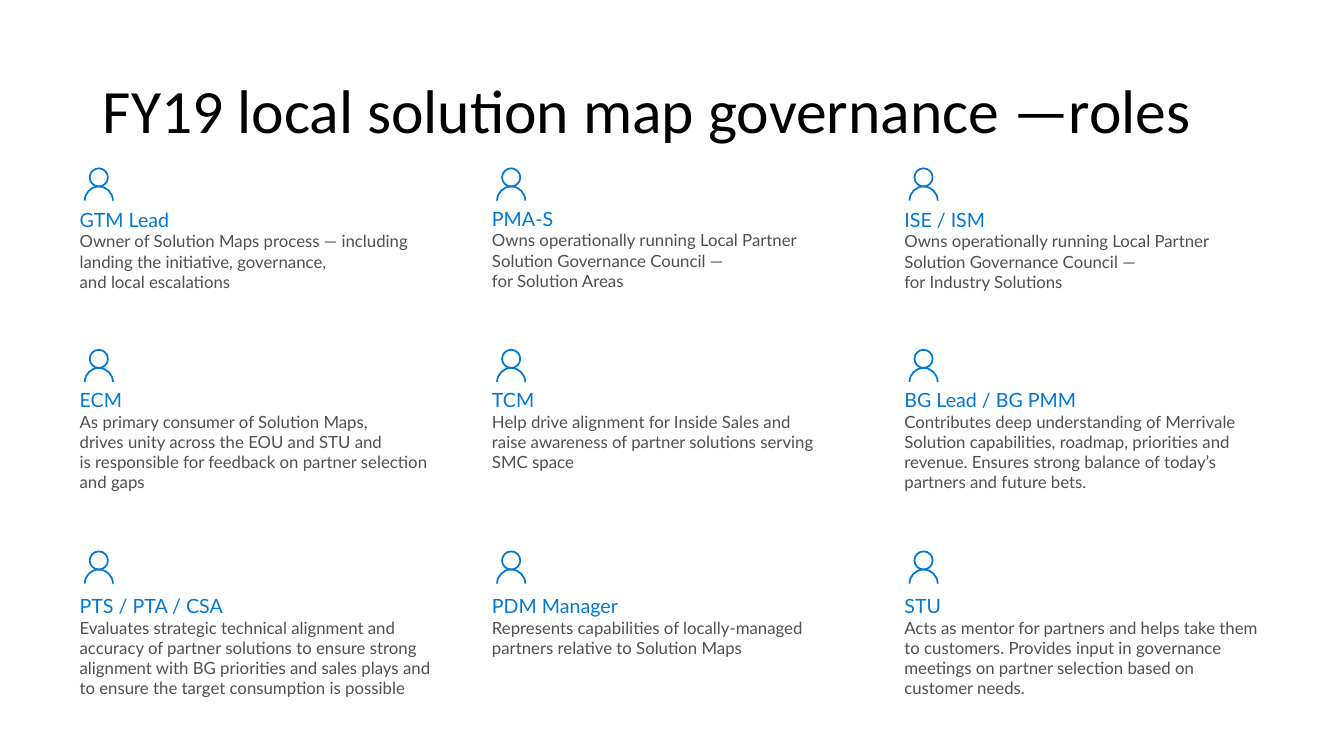
from math import cos, sin, radians
from pptx import Presentation
from pptx.dml.color import RGBColor
from pptx.enum.text import MSO_ANCHOR, MSO_AUTO_SIZE, PP_ALIGN
from pptx.oxml.ns import qn
from pptx.util import Inches, Pt

COLORS = {"title": "000000", "accent": "0078D7", "body": "505050"}
LEFT, COL_STEP, BOX_W = 0.59, 4.09, 3.97
ICON_TOPS = (1.67, 3.47, 5.47)
TEXT_TOPS = (1.9, 3.69, 5.73)
BEZIER = 0.55  # control distance for a quarter circle, as a share of its radius

# Role name, description, number of lines it fills; one inner list per grid row
ROLES = [
    [("GTM Lead", "Owner of Solution Maps process — including landing the "
      "initiative, governance,\vand local escalations", 3),
     ("PMA-S", "Owns operationally running Local Partner Solution Governance "
      "Council —\vfor Solution Areas", 3, 0.01),
     ("ISE / ISM", "Owns operationally running Local Partner Solution Governance "
      "Council —\vfor Industry Solutions", 3)],
    [("ECM", "As primary consumer of Solution Maps, \vdrives unity across the EOU "
      "and STU and\vis responsible for feedback on partner selection \vand gaps", 4),
     ("TCM", "Help drive alignment for Inside Sales and \vraise awareness of "
      "partner solutions serving SMC space", 3),
     ("BG Lead / BG PMM", "Contributes deep understanding of Merrivale Solution "
      "capabilities, roadmap, priorities and revenue. Ensures strong balance of "
      "today’s partners and future bets.", 4)],
    [("PTS / PTA / CSA", "Evaluates strategic technical alignment and accuracy of "
      "partner solutions to ensure strong alignment with BG priorities and sales "
      "plays and to ensure the target consumption is possible", 4),
     ("PDM Manager", "Represents capabilities of locally-managed partners relative "
      "to Solution Maps", 2),
     ("STU", "Acts as mentor for partners and helps take them to customers. "
      "Provides input in governance meetings on partner selection based on "
      "customer needs.", 4)],
]


def arc(cx, cy, radius, start, quarters):
    """Start point, then three Bezier points for each quarter circle."""
    def point(angle, along=0):
        c, n = cos(radians(angle)), sin(radians(angle))
        return Inches(cx + radius * (c - along * n)), Inches(cy + radius * (n + along * c))

    points = [point(start)]
    for a in range(start, start + 90 * quarters, 90):
        points += [point(a, BEZIER), point(a + 90, -BEZIER), point(a + 90)]
    return points


def curve_lines(sp):
    """Turn every three line segments of a freeform into one Bezier curve."""
    lines = list(sp._element.iter(qn("a:lnTo")))
    for first, second, third in zip(lines[::3], lines[1::3], lines[2::3]):
        curve = first.makeelement(qn("a:cubicBezTo"), {})
        first.addprevious(curve)
        for line in (first, second, third):
            curve.append(line[0])
            line.getparent().remove(line)


class RoleSlide:
    def __init__(self, prs):
        self.s = prs.slides.add_slide(prs.slide_layouts[5])

    def style(self, p, font, size, color):
        p.font.name, p.font.size = font, Pt(size)
        p.font.color.rgb = RGBColor.from_string(COLORS[color])

    def place(self, sp, left, top, width, height):
        sp.left, sp.top, sp.width, sp.height = map(Inches, (left, top, width, height))

    def title(self, text):
        sp = self.s.shapes.title
        self.place(sp, 0.92, 0.4, 11.5, 1.45)
        tf = sp.text_frame
        tf.text = text
        tf.auto_size, tf.vertical_anchor = MSO_AUTO_SIZE.NONE, MSO_ANCHOR.MIDDLE
        p = tf.paragraphs[0]
        p.alignment, p.line_spacing = PP_ALIGN.LEFT, 0.9
        self.style(p, "Calibri", 44, "title")

    def person(self, col, row):
        cx, top = LEFT + 0.39 + col * COL_STEP, ICON_TOPS[row]
        head = arc(cx, top + 0.09, 0.09, 180, 4)
        shoulders = arc(cx, top + 0.32, 0.14, 180, 2)
        fb = self.s.shapes.build_freeform(*head[0])
        fb.add_line_segments(head[1:], close=True)
        fb.move_to(*shoulders[0])
        fb.add_line_segments(shoulders[1:], close=False)
        sp = fb.convert_to_shape()
        curve_lines(sp)
        sp.shadow.inherit = False
        sp.fill.background()
        sp.line.color.rgb = RGBColor.from_string(COLORS["accent"])
        sp.line.width = Pt(1.25)

    def role(self, col, row, name, description, lines, lift=0):
        sp = self.s.shapes.add_textbox(0, 0, 0, 0)
        tf = sp.text_frame
        tf.word_wrap, tf.auto_size = True, MSO_AUTO_SIZE.SHAPE_TO_FIT_TEXT
        tf.margin_left = tf.margin_right = Inches(0.2)
        tf.margin_top = tf.margin_bottom = Inches(0.16)
        p = tf.paragraphs[0]
        p.text = name
        self.style(p, "Lato", 14, "accent")
        p = tf.add_paragraph()
        p.text = description
        self.style(p, "Lato", 12, "body")
        self.place(sp, LEFT + col * COL_STEP, TEXT_TOPS[row] - lift,
                   BOX_W, 0.55 + 0.2 * lines)


prs = Presentation()
prs.slide_width, prs.slide_height = Inches(13.33), Inches(7.5)
slide = RoleSlide(prs)

# Title
slide.title("FY19 local solution map governance —roles ")

# Grid of roles, each under a person icon
for row, roles in enumerate(ROLES):
    for col, role in enumerate(roles):
        slide.person(col, row)
        slide.role(col, row, *role)

prs.save("out.pptx")
